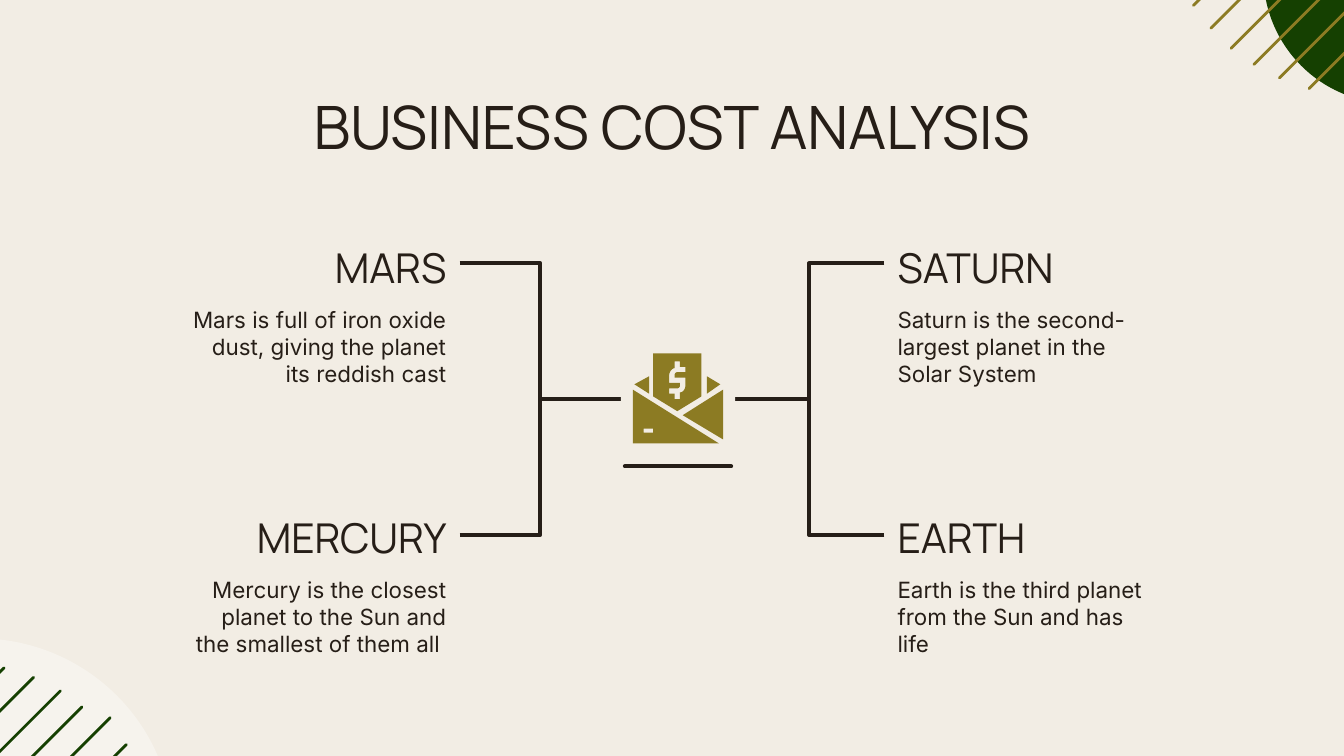
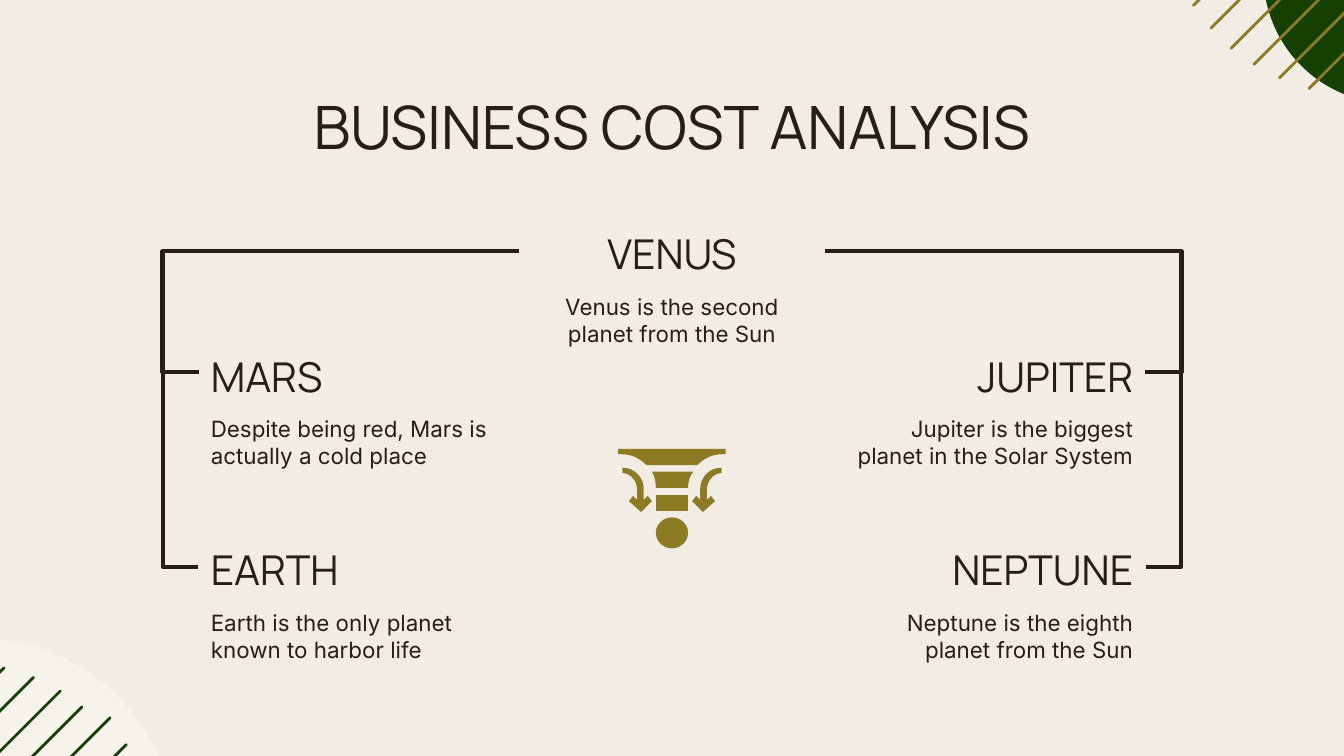
import dataclasses

import pptx
import pptx.dml.color
import pptx.enum.shapes
import pptx.enum.text
import pptx.oxml
import pptx.oxml.ns
import pptx.util

Inches = pptx.util.Inches
Color = pptx.dml.color.RGBColor.from_string
qn = pptx.oxml.ns.qn
Shape = pptx.enum.shapes.MSO_SHAPE
Connector = pptx.enum.shapes.MSO_CONNECTOR
Align = pptx.enum.text.PP_ALIGN
Anchor = pptx.enum.text.MSO_ANCHOR


@dataclasses.dataclass(frozen=True)
class Theme:
    paper: str = "F2EDE4"
    ink: str = "261E17"
    green: str = "154001"
    gold: str = "8C7B23"
    white: str = "FFFFFF"
    display: str = "Manrope"
    text: str = "Inter"
    title_size: int = 32
    heading_size: int = 22
    body_size: int = 12
    stripe: float = 1.5
    bracket: float = 2.25


theme = Theme()


def write(box, text, font=theme.display, size=theme.title_size,
          align=Align.LEFT, anchor=Anchor.TOP):
    frame = box.text_frame
    frame.word_wrap = True
    frame.auto_size = pptx.enum.text.MSO_AUTO_SIZE.NONE
    frame.vertical_anchor = anchor
    frame.margin_left = frame.margin_right = Inches(0.1)
    frame.margin_top = frame.margin_bottom = Inches(0.1)
    para = frame.paragraphs[0]
    para.alignment = align
    span = para.add_run()
    span.text = text
    span.font.name = font
    span.font.size = pptx.util.Pt(size)
    span.font.color.rgb = Color(theme.ink)


def link(page, start, end, color=theme.ink, weight=theme.bracket, bend=None):
    """Join two points; bend is the x of the upright part of an elbow."""
    kind = Connector.STRAIGHT if bend is None else Connector.ELBOW
    line = page.shapes.add_connector(kind, *map(Inches, start + end))
    line.line.color.rgb = Color(color)
    line.line.width = pptx.util.Pt(weight)
    properties = line.element.spPr
    properties.find(qn("a:ln")).set("cap", "rnd" if bend is None else "flat")
    properties.append(pptx.oxml.parse_xml(
        f"<a:effectLst {pptx.oxml.ns.nsdecls('a')}/>"))
    if bend is not None:
        geometry = properties.find(qn("a:prstGeom"))
        guides = geometry.find(qn("a:avLst"))
        if guides is None:
            guides = geometry.makeelement(qn("a:avLst"), {})
            geometry.append(guides)
        ratio = (bend - start[0]) / (end[0] - start[0])
        guide = guides.makeelement(
            qn("a:gd"), {"name": "adj1", "fmla": f"val {round(ratio * 100000)}"})
        guides.append(guide)
    return line


# Deck, background and title place
deck = pptx.Presentation()
deck.slide_width = Inches(10)
deck.slide_height = Inches(10 * 9 / 16)
background = deck.slide_master.background.fill
background.solid()
background.fore_color.rgb = Color(theme.paper)
layout = deck.slide_layouts[5]
heading_place = layout.placeholders[0]
heading_place.left, heading_place.top = Inches(0.78), Inches(0.57)
heading_place.width, heading_place.height = Inches(8.44), Inches(0.77)

cost_page = deck.slides.add_slide(layout)
planet_page = deck.slides.add_slide(layout)
for page in (cost_page, planet_page):
    write(page.shapes.title, "BUSINESS COST ANALYSIS", align=Align.CENTER)

# Corner ornaments, shared through the layout
ornaments = []
for place, color, alpha in (
    ((9.4, -1.15, 1.92, 1.92), theme.green, 100),
    ((-1.61, 4.75, 2.9, 2.88), theme.white, 36),
):
    disc = cost_page.shapes.add_shape(Shape.OVAL, *map(Inches, place))
    disc.shadow.inherit = False
    disc.fill.solid()
    disc.fill.fore_color.rgb = Color(color)
    disc.line.fill.background()
    if alpha < 100:
        tint = disc.element.spPr.find(qn("a:solidFill"))[0]
        tint.append(tint.makeelement(qn("a:alpha"), {"val": str(alpha * 1000)}))
    ornaments.append(disc)

gold_stripes = ((8.88, 0.04, 1.95), (9.01, 0.21, 2.06), (9.16, 0.36, 2.09),
                (9.33, 0.48, 2.01), (9.52, 0.58, 1.86), (9.74, 0.66, 1.71))
green_stripes = ((0.03, 4.97, -1.71), (0.25, 5.04, -1.85), (0.45, 5.14, -1.95),
                 (0.61, 5.26, -1.99), (0.82, 5.34, -2.06), (0.94, 5.54, -2))
for stripes, color in ((gold_stripes, theme.gold), (green_stripes, theme.green)):
    for x, y, reach in stripes:
        ornaments.append(link(cost_page, (x, y), (x + reach, y - reach),
                              color, theme.stripe))
for position, ornament in enumerate(ornaments, start=2):
    layout.shapes.element.insert(position, ornament.element)

# Headed texts: page, left, top, width, body height, alignment, heading, body
cards = (
    (cost_page, 6.58, 1.66, 2.02, 0.77, Align.LEFT, "SATURN",
     "Saturn is the second-largest planet in the Solar System"),
    (cost_page, 6.58, 3.67, 2.02, 0.77, Align.LEFT, "EARTH",
     "Earth is the third planet from the Sun and has life"),
    (cost_page, 1.3, 1.66, 2.12, 0.77, Align.RIGHT, "MARS",
     "Mars is full of iron oxide dust, giving the planet its reddish cast"),
    (cost_page, 1.3, 3.67, 2.12, 0.77, Align.RIGHT, "MERCURY",
     "Mercury is the closest planet to the Sun and the smallest of them all "),
    (planet_page, 1.47, 2.47, 2.28, 0.61, Align.LEFT, "MARS",
     "Despite being red, Mars is actually a cold place"),
    (planet_page, 1.47, 3.91, 2.28, 0.61, Align.LEFT, "EARTH",
     "Earth is the only planet known to harbor life"),
    (planet_page, 6.25, 2.47, 2.28, 0.61, Align.RIGHT, "JUPITER",
     "Jupiter is the biggest planet in the Solar System"),
    (planet_page, 6.25, 3.91, 2.28, 0.61, Align.RIGHT, "NEPTUNE",
     "Neptune is the eighth planet from the Sun"),
    (planet_page, 3.86, 1.56, 2.28, 0.61, Align.CENTER, "VENUS",
     "Venus is the second planet from the Sun"),
)
for page, left, top, width, height, align, heading, body in cards:
    box = page.shapes.add_textbox(*map(Inches, (left, top, width, 0.61)))
    write(box, heading, size=theme.heading_size, align=align, anchor=Anchor.BOTTOM)
    box = page.shapes.add_textbox(*map(Inches, (left, top + 0.52, width, height)))
    write(box, body, font=theme.text, size=theme.body_size, align=align)

# Brackets on the cost page, and the plate and rule of its icon
for y in (1.96, 3.98):
    link(cost_page, (3.42, y), (4.62, 2.97), bend=4.02)
    link(cost_page, (6.58, y), (5.46, 2.97), bend=6.02)
link(cost_page, (4.65, 3.47), (5.44, 3.47))
plate = cost_page.shapes.add_shape(
    Shape.RECTANGLE, *map(Inches, (4.62, 2.55, 0.85, 0.85)))
plate.shadow.inherit = False
plate.fill.solid()
plate.fill.fore_color.rgb = Color(theme.paper)
plate.line.fill.background()

# Brackets on the planet page, the right side mirroring the left
for side in (-1, 1):
    inner, edge, outer = (5 + side * reach for reach in (1.14, 3.53, 3.79))
    link(planet_page, (inner, 1.87), (edge, 2.77), bend=outer)
    link(planet_page, (edge, 4.22), (edge - side * 0.01, 2.77), bend=outer)

# Icons: each piece is a list of outlines; six numbers make a curve
dollar = [(5.06, 2.69), (5.06, 2.73), (5.1, 2.73), (5.1, 2.77), (5.04, 2.77),
          (5.03, 2.77, 5.02, 2.78, 5.02, 2.79), (5.02, 2.81), (5.1, 2.81),
          (5.1, 2.87), (5.1, 2.9, 5.08, 2.92, 5.06, 2.92), (5.06, 2.97),
          (5.02, 2.97), (5.02, 2.93), (4.98, 2.93), (4.98, 2.89), (5.04, 2.89),
          (5.05, 2.89, 5.06, 2.88, 5.06, 2.87), (5.06, 2.85), (4.98, 2.85),
          (4.98, 2.79), (4.98, 2.77, 5, 2.74, 5.02, 2.74), (5.02, 2.69)]
envelope = [
    [[(5.38, 2.9), (5.08, 3.09), (5.38, 3.27)]],
    [[(5.26, 2.8), (5.26, 2.93), (5.36, 2.86)]],
    [[(4.83, 2.8), (4.72, 2.86), (4.83, 2.93)]],
    [[(4.71, 2.9), (4.71, 3.3), (5.35, 3.3)],
     [(4.86, 3.19), (4.86, 3.22), (4.79, 3.22), (4.79, 3.19)]],
    [[(4.86, 2.63), (4.86, 2.95), (5.04, 3.06), (5.22, 2.95), (5.22, 2.63)],
     dollar],
]
arrow = [(4.63, 3.48), (4.63, 3.52), (4.69, 3.52, 4.74, 3.58, 4.74, 3.64),
         (4.74, 3.72), (4.71, 3.69), (4.68, 3.73), (4.77, 3.81), (4.85, 3.73),
         (4.82, 3.69), (4.79, 3.72), (4.79, 3.64),
         (4.79, 3.55, 4.72, 3.48, 4.63, 3.48)]
mirrored_arrow = [
    tuple(value if index % 2 else 10 - value for index, value in enumerate(node))
    for node in arrow]
funnel = [
    [arrow],
    [mirrored_arrow],
    [[(4.6, 3.34), (4.6, 3.38), (4.63, 3.38),
      (4.7, 3.38, 4.76, 3.41, 4.81, 3.46), (5.19, 3.46),
      (5.24, 3.41, 5.3, 3.38, 5.37, 3.38), (5.4, 3.38), (5.4, 3.34)]],
    [[(4.85, 3.51), (4.87, 3.54, 4.88, 3.59, 4.88, 3.63), (5.12, 3.63),
      (5.12, 3.59, 5.13, 3.54, 5.16, 3.51)]],
    [[(4.88, 3.68), (4.88, 3.8), (5.12, 3.8), (5.12, 3.68)]],
]
icon_parts = [planet_page.shapes.add_shape(
    Shape.OVAL, *map(Inches, (4.88, 3.85, 0.24, 0.23)))]
for page, pieces in ((cost_page, envelope), (planet_page, funnel)):
    for piece in pieces:
        builder = None
        for outline in piece:
            points = [outline[0]]
            for node in outline[1:]:
                if len(node) == 2:
                    points.append(node)
                    continue
                controls = (points[-1], node[:2], node[2:4], node[4:])
                for step in range(1, 9):
                    t = step / 8
                    weights = ((1 - t) ** 3, 3 * t * (1 - t) ** 2,
                               3 * t ** 2 * (1 - t), t ** 3)
                    points.append(tuple(
                        sum(w * c[axis] for w, c in zip(weights, controls))
                        for axis in (0, 1)))
            points = [(Inches(x), Inches(y)) for x, y in points]
            if builder is None:
                builder = page.shapes.build_freeform(*points[0])
            else:
                builder.move_to(*points[0])
            builder.add_line_segments(points[1:], close=True)
        icon_parts.append(builder.convert_to_shape())
for part in icon_parts:
    part.shadow.inherit = False
    part.fill.solid()
    part.fill.fore_color.rgb = Color(theme.gold)
    part.line.fill.background()

deck.save("out.pptx")
